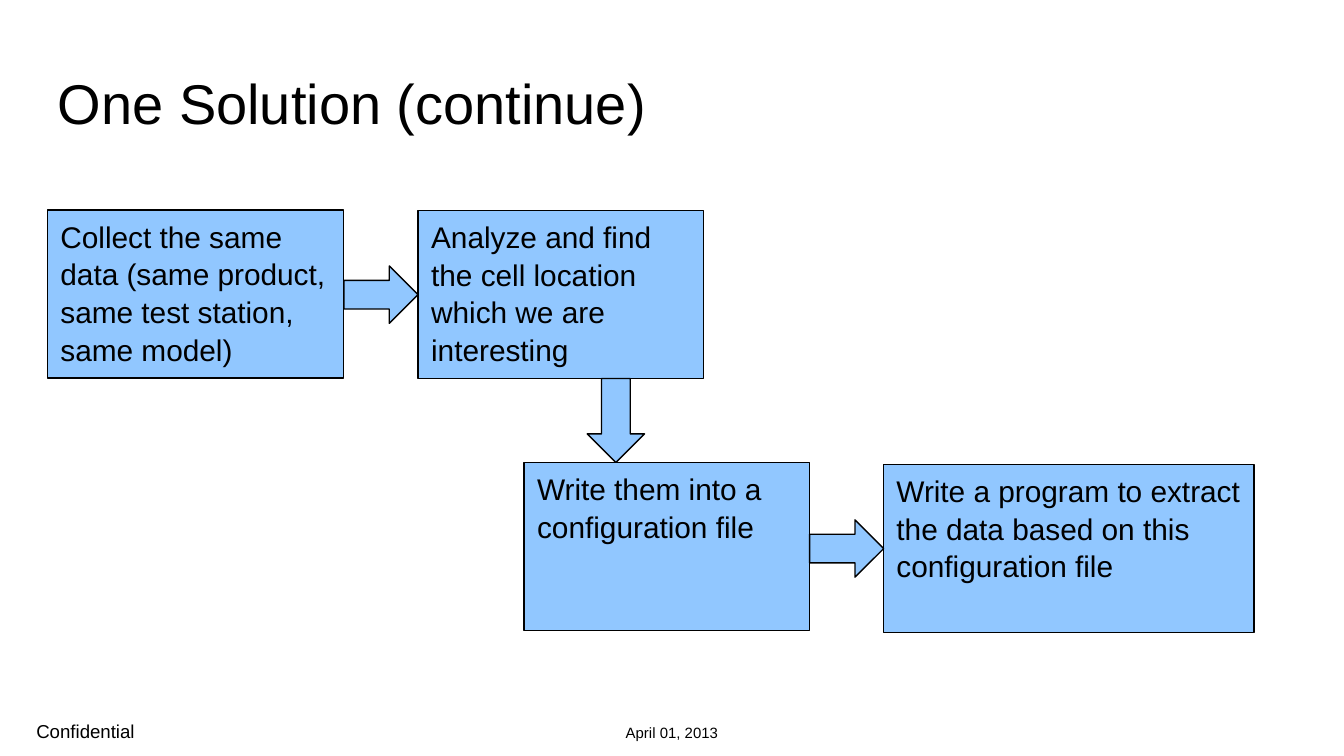
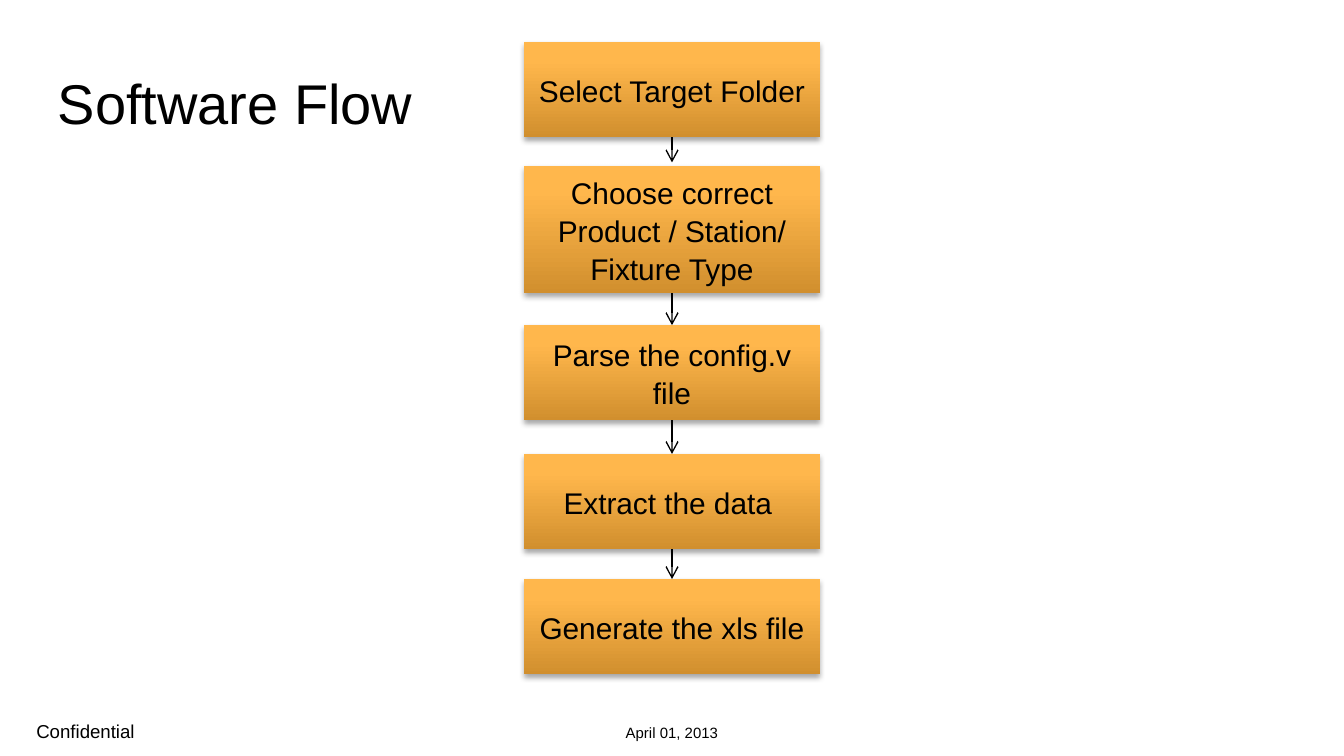
from lxml import etree
from pptx import Presentation
from pptx.dml.color import RGBColor
from pptx.enum.shapes import MSO_CONNECTOR, MSO_SHAPE
from pptx.enum.text import MSO_ANCHOR, PP_ALIGN
from pptx.oxml import parse_xml
from pptx.oxml.ns import nsdecls, qn
from pptx.util import Pt

BLACK = RGBColor(0x00, 0x00, 0x00)
BLUE = RGBColor(0x91, 0xC7, 0xFF)
FONT = "Arial"
LEFT, CENTER = PP_ALIGN.LEFT, PP_ALIGN.CENTER
TOP, MIDDLE, BOTTOM = MSO_ANCHOR.TOP, MSO_ANCHOR.MIDDLE, MSO_ANCHOR.BOTTOM
RECT, DOWN_ARROW = MSO_SHAPE.RECTANGLE, MSO_SHAPE.DOWN_ARROW
STRAIGHT = MSO_CONNECTOR.STRAIGHT

ORANGE_GRADIENT = f"""<a:gradFill {nsdecls('a')} rotWithShape="1"><a:gsLst>
<a:gs pos="0"><a:srgbClr val="D18F2E"/></a:gs>
<a:gs pos="80000"><a:srgbClr val="FFB74C"/></a:gs>
<a:gs pos="100000"><a:srgbClr val="FFB74E"/></a:gs>
</a:gsLst><a:lin ang="16200000" scaled="0"/></a:gradFill>"""
SOFT_SHADOW = f"""<a:outerShdw {nsdecls('a')} blurRad="{Pt(3.1)}" dist="{Pt(1.8)}"
dir="5400000" rotWithShape="0"><a:srgbClr val="000000"><a:alpha val="35000"/>
</a:srgbClr></a:outerShdw>"""


def write(sp, text, size, align=LEFT, anchor=TOP, spacing=1.0):
    """Put one formatted paragraph into a shape."""
    tf = sp.text_frame
    tf.word_wrap = True
    tf.vertical_anchor = anchor
    tf.text = text
    p = tf.paragraphs[0]
    p.alignment = align
    p.line_spacing = spacing
    font = p.runs[0].font
    font.name, font.size, font.color.rgb = FONT, Pt(size), BLACK


def add_shape(s, kind, left, top, width, height):
    """Add a blue, black-edged preset shape without a shadow."""
    sp = s.shapes.add_shape(kind, Pt(left), Pt(top), Pt(width), Pt(height))
    sp.shadow.inherit = False
    sp.fill.solid()
    sp.fill.fore_color.rgb = BLUE
    sp.line.color.rgb = BLACK
    sp.line.width = Pt(0.75)
    return sp


prs = Presentation()
prs.slide_width, prs.slide_height = Pt(720), Pt(405)

# Footers and title, the same on both slides
slides = []
for title in ("One Solution (continue)", "Software Flow"):
    s = prs.slides.add_slide(prs.slide_layouts[6])
    slides.append(s)
    for text, left, top, width, height, size, align, anchor, spacing in (
        ("Confidential", 19.5, 389, 144.5, 8.5, 10, LEFT, BOTTOM, 1.0),
        ("April 01, 2013", 160, 389, 400, 8.5, 8, CENTER, BOTTOM, 1.0),
        (title, 31, 33, 658, 54, 30, LEFT, TOP, 1.1),
    ):
        sp = s.shapes.add_textbox(Pt(left), Pt(top), Pt(width), Pt(height))
        tf = sp.text_frame
        tf.margin_left = tf.margin_right = tf.margin_top = tf.margin_bottom = 0
        write(sp, text, size, align, anchor, spacing)

# Slide 1: steps of the solution
s = slides[0]
for text, left, top, width in (
    ("Collect the same data (same product, same test station, same model)",
     25.3, 112.6, 158.8),
    ("Analyze and find the cell location which we are interesting",
     223.9, 112.8, 153),
    ("Write them into a configuration file", 280.7, 247.7, 153),
    ("Write a program to extract the data based on this configuration file",
     473.2, 248.9, 198.7),
):
    write(add_shape(s, RECT, left, top, width, 90), text, 16, spacing=1.05)

for left, top, height, rotation in (
    (314.6, 202.8, 45, 0),
    (188.7, 138, 39.7, 270),
    (438.2, 274, 39.7, 270),
):
    add_shape(s, DOWN_ARROW, left, top, 30.7, height).rotation = rotation

# Slide 2: a column of steps joined by arrows
s = slides[1]
STEP_LEFT, STEP_WIDTH = 280.7, 158.6
steps = (
    ("Select Target Folder", 22.5, 51),
    ("Choose correct Product / Station/ Fixture Type", 89, 68),
    ("Parse the config.v file", 174.2, 51),
    ("Extract the data ", 243.2, 51),
    ("Generate the xls file", 310.2, 51),
)
for text, top, height in steps:
    sp = add_shape(s, RECT, STEP_LEFT, top, STEP_WIDTH, height)
    sp.line.fill.background()
    spPr = sp.element.spPr
    spPr.replace(spPr.find(qn("a:solidFill")), parse_xml(ORANGE_GRADIENT))
    spPr.find(qn("a:effectLst")).append(parse_xml(SOFT_SHADOW))
    write(sp, text, 16, CENTER, MIDDLE, 1.05)

ARROW_X = STEP_LEFT + STEP_WIDTH / 2
ARROW_ENDS = (87, 174.2, 243.2, 310.2)
for (text, top, height), end in zip(steps, ARROW_ENDS):
    line = s.shapes.add_connector(
        STRAIGHT, Pt(ARROW_X), Pt(top + height), Pt(ARROW_X), Pt(end))
    line.line.color.rgb = BLACK
    line.line.width = Pt(0.75)
    etree.SubElement(line.line._get_or_add_ln(), qn("a:tailEnd"), type="arrow")
    etree.SubElement(line.element.spPr, qn("a:effectLst"))

prs.save("out.pptx")
